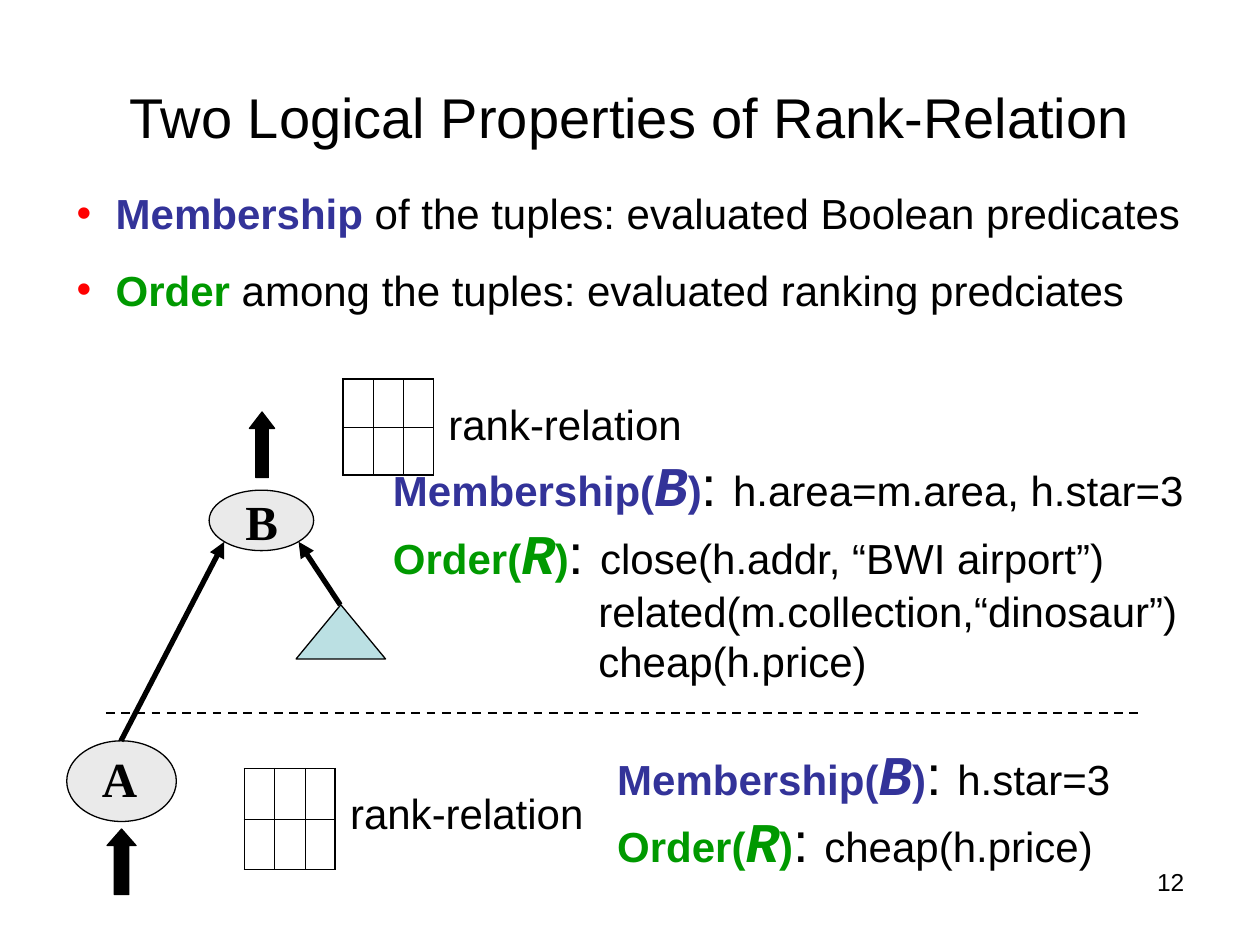
from dataclasses import dataclass
from typing import NamedTuple

from lxml import etree
from pptx import Presentation
from pptx.dml.color import RGBColor
from pptx.enum.dml import MSO_LINE
from pptx.enum.shapes import MSO_CONNECTOR, MSO_SHAPE
from pptx.enum.text import MSO_ANCHOR, PP_ALIGN
from pptx.oxml.ns import qn
from pptx.util import Emu, Inches, Pt

STRAIGHT = MSO_CONNECTOR.STRAIGHT
OVAL, TRIANGLE, UP_ARROW = MSO_SHAPE.OVAL, MSO_SHAPE.ISOSCELES_TRIANGLE, MSO_SHAPE.UP_ARROW
DASH = MSO_LINE.DASH
TOP, MIDDLE = MSO_ANCHOR.TOP, MSO_ANCHOR.MIDDLE
LEFT, CENTER, RIGHT = PP_ALIGN.LEFT, PP_ALIGN.CENTER, PP_ALIGN.RIGHT

WIDTH, HEIGHT = Inches(10), Inches(7.5)
GRID_COLUMNS, GRID_ROWS = 10, 7.5
COLORS = {"ink": "000000", "membership": "333399", "order": "009900",
          "bullet": "FF0000", "node": "EAEAEA", "subtree": "BBE0E3"}
FORMATS = {
    "title": {"name": "Arial", "size": Pt(32)},
    "body": {"name": "Arial", "size": Pt(24)},
    "strong": {"name": "Arial", "size": Pt(24), "bold": True},
    "symbol": {"name": "Courier New", "size": Pt(32), "bold": True, "italic": True},
    "node": {"name": "Times New Roman", "size": Pt(28), "bold": True},
    "number": {"name": "Arial", "size": Pt(14)},
}


class Area(NamedTuple):
    column: float
    row: float
    columns: float
    rows: float


class Span(NamedTuple):
    text: str
    style: str = "body"
    color: str = "ink"


@dataclass
class Para:
    spans: list[Span]
    align: PP_ALIGN = LEFT
    indent: float = 0
    bullet: bool = False
    before: float = 0


@dataclass
class TextBlock:
    area: Area
    paras: list[Para]
    wrap: bool = False
    anchor: MSO_ANCHOR = TOP


@dataclass
class Figure:
    kind: MSO_SHAPE
    area: Area
    fill: str
    adjustments: tuple[float, ...] = ()


@dataclass
class Rule:
    start: tuple[float, float]
    end: tuple[float, float]
    width: float
    dashed: bool = False


@dataclass
class RankGrid:
    column: float
    row: float
    row_height: float


def across(columns: float) -> Emu:
    return Emu(round(WIDTH * columns / GRID_COLUMNS))


def down(rows: float) -> Emu:
    return Emu(round(HEIGHT * rows / GRID_ROWS))


def place(area: Area) -> tuple[Emu, Emu, Emu, Emu]:
    return across(area.column), down(area.row), across(area.columns), down(area.rows)


def color(key: str) -> RGBColor:
    return RGBColor.from_string(COLORS[key])


def single(text: str, style: str = "body", align: PP_ALIGN = LEFT) -> list[Para]:
    return [Para([Span(text, style)], align)]


def property_para(label: str, symbol: str, tint: str, value: str) -> Para:
    return Para([Span(f"{label}(", "strong", tint), Span(symbol, "symbol", tint),
                 Span(")", "strong", tint), Span(": ", "title"), Span(value)])


def bullet_para(word: str, tint: str, rest: str, before: float = 0) -> Para:
    return Para([Span(f"{word} ", "strong", tint), Span(rest)],
                indent=0.31, bullet=True, before=before)


def add_text(page, block: TextBlock) -> None:
    frame = page.shapes.add_textbox(*place(block.area)).text_frame
    frame.word_wrap = block.wrap
    frame.vertical_anchor = block.anchor
    if block.wrap:
        frame.margin_right = 0 if block.anchor == TOP else Inches(0.1)
    for index, para in enumerate(block.paras):
        line = frame.paragraphs[0] if index == 0 else frame.add_paragraph()
        line.alignment = para.align
        line.space_before = Pt(para.before)
        properties = line._p.get_or_add_pPr()
        properties.set("marL", str(across(para.indent)))
        if para.bullet:
            properties.set("indent", str(-across(para.indent)))
            tint = etree.SubElement(properties, qn("a:buClr"))
            etree.SubElement(tint, qn("a:srgbClr"), val=COLORS["bullet"])
            etree.SubElement(properties, qn("a:buFont"), typeface="Arial")
            etree.SubElement(properties, qn("a:buChar"), char="•")
        for span in para.spans:
            run = line.add_run()
            run.text = span.text
            for name, value in FORMATS[span.style].items():
                setattr(run.font, name, value)
            run.font.color.rgb = color(span.color)


def add_figure(page, figure: Figure) -> None:
    shape = page.shapes.add_shape(figure.kind, *place(figure.area))
    shape.shadow.inherit = False
    shape.fill.solid()
    shape.fill.fore_color.rgb = color(figure.fill)
    shape.line.color.rgb = color("ink")
    shape.line.width = Pt(0.75)
    for index, value in enumerate(figure.adjustments):
        shape.adjustments[index] = value


def add_rule(page, rule: Rule) -> None:
    (x1, y1), (x2, y2) = rule.start, rule.end
    connector = page.shapes.add_connector(STRAIGHT, across(x1), down(y1), across(x2), down(y2))
    connector.line.color.rgb = color("ink")
    connector.line.width = Pt(rule.width)
    properties = connector._element.spPr
    if rule.dashed:
        connector.line.dash_style = DASH
    else:
        etree.SubElement(properties.find(qn("a:ln")), qn("a:tailEnd"), type="triangle")
    etree.SubElement(properties, qn("a:effectLst"))


def add_rank_grid(page, grid: RankGrid, rows: int = 2, columns: int = 3) -> None:
    area = Area(grid.column, grid.row, 0.24 * columns, grid.row_height * rows)
    table = page.shapes.add_table(rows, columns, *place(area)).table
    table.first_row = table.horz_banding = False
    for r in range(rows):
        for c in range(columns):
            cell = table.cell(r, c)
            cell.margin_left = cell.margin_right = cell.margin_top = cell.margin_bottom = 0
            cell.text_frame.paragraphs[0].font.size = Pt(12)
            outer = {"L": c == 0, "R": c == columns - 1, "T": r == 0, "B": r == rows - 1}
            properties = cell._tc.get_or_add_tcPr()
            for side, heavy in outer.items():
                border = etree.SubElement(properties, qn(f"a:ln{side}"),
                                          w=str(Pt(1.08 if heavy else 0.45)))
                fill = etree.SubElement(border, qn("a:solidFill"))
                etree.SubElement(fill, qn("a:srgbClr"), val=COLORS["ink"])
            cell.fill.background()


GRIDS = [RankGrid(2.72, 3.01, 0.38), RankGrid(1.94, 6.1, 0.4)]
RULES = [Rule((0.84, 5.66), (9.07, 5.66), 1.25, dashed=True),
         Rule((0.96, 5.88), (1.78, 4.3), 3), Rule((2.7, 4.8), (2.37, 4.3), 3)]
FIGURES = [
    Figure(OVAL, Area(0.53, 5.88, 0.87, 0.64), "node"),
    Figure(OVAL, Area(1.66, 3.89, 0.83, 0.48), "node"),
    Figure(UP_ARROW, Area(1.98, 3.27, 0.2, 0.52), "ink", (0.5, 0.65)),
    Figure(UP_ARROW, Area(0.85, 6.58, 0.23, 0.52), "ink", (0.5, 0.57)),
    Figure(TRIANGLE, Area(2.35, 4.8, 0.71, 0.43), "subtree"),
]
TEXTS = [
    TextBlock(Area(0.5, 0.3, 9, 1.25),
              single("Two Logical Properties of Rank-Relation", "title", CENTER), True, MIDDLE),
    TextBlock(Area(0.51, 1.44, 8.99, 1.11), [
        bullet_para("Membership", "membership", "of the tuples: evaluated Boolean predicates"),
        bullet_para("Order", "order", "among the tuples: evaluated ranking predciates", 15),
    ], True),
    TextBlock(Area(3.02, 3.53, 6.48, 2.37), [
        property_para("Membership", "B", "membership", "h.area=m.area, h.star=3"),
        property_para("Order", "R", "order", "close(h.addr, “BWI airport”)"),
        Para([Span("related(m.collection,“dinosaur”)")], indent=1.63),
        Para([Span("cheap(h.price)")], indent=1.63),
    ], True),
    TextBlock(Area(4.8, 5.82, 4.12, 1.17), [
        property_para("Membership", "B", "membership", "h.star=3"),
        property_para("Order", "R", "order", "cheap(h.price)"),
    ]),
    TextBlock(Area(3.46, 3.11, 2.05, 0.5), single("rank-relation")),
    TextBlock(Area(2.68, 6.2, 2.05, 0.5), single("rank-relation")),
    TextBlock(Area(0.71, 5.89, 0.48, 0.57), single("A", "node")),
    TextBlock(Area(1.85, 3.85, 0.46, 0.57), single("B", "node")),
    TextBlock(Area(7.17, 6.83, 2.23, 0.52), single("12", "number", RIGHT), True),
]


def main() -> None:
    deck = Presentation()
    deck.slide_width, deck.slide_height = WIDTH, HEIGHT
    page = deck.slides.add_slide(deck.slide_layouts[6])
    for draw, items in ((add_rank_grid, GRIDS), (add_figure, FIGURES),
                        (add_rule, RULES), (add_text, TEXTS)):
        for item in items:
            draw(page, item)
    deck.save("out.pptx")


if __name__ == "__main__":
    main()
